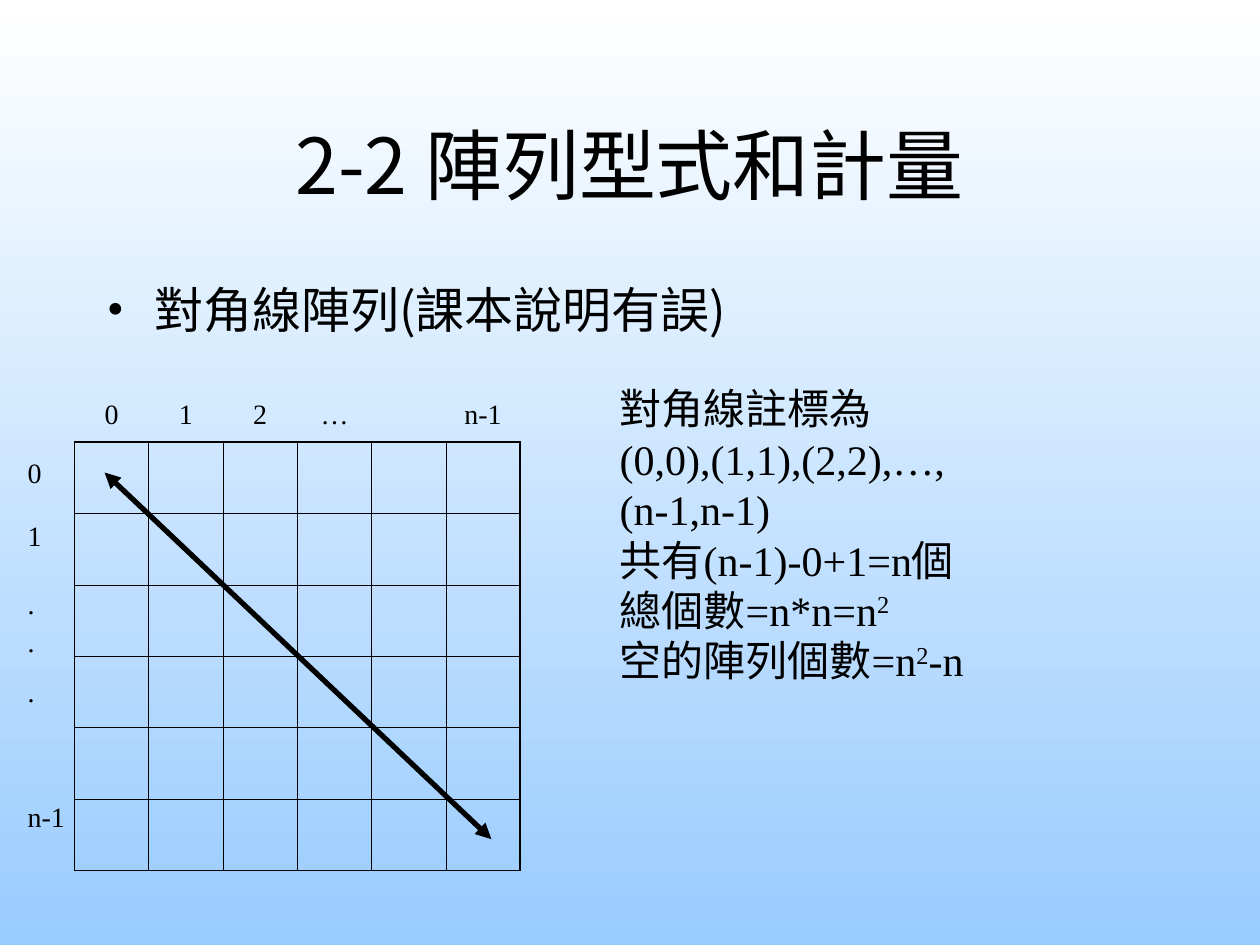
from lxml.etree import SubElement
from pptx import Presentation
from pptx.dml.color import RGBColor
from pptx.enum.shapes import MSO_CONNECTOR
from pptx.enum.text import MSO_ANCHOR, MSO_AUTO_SIZE, PP_ALIGN
from pptx.oxml import parse_xml
from pptx.oxml.ns import nsdecls, qn
from pptx.util import Inches, Pt

BLACK = RGBColor(0x00, 0x00, 0x00)
WHITE = RGBColor(0xFF, 0xFF, 0xFF)
SKY = RGBColor(0x99, 0xCC, 0xFF)
SANS = "Noto Sans CJK SC"
SERIF = "Times New Roman"
NO_STYLE = "{2D5ABB26-0587-4C30-8999-92F81FD0307C}"
SIZE = 6
THICK, THIN = 1.08, 0.45


def format_run(run, size, face):
    run.font.size = Pt(size)
    run.font.name = face
    run.font.color.rgb = BLACK
    SubElement(run.font._element, qn("a:ea")).set("typeface", SANS)


def paint_background(slide):
    fill = slide.background.fill
    fill.gradient()
    fill.gradient_angle = 270
    for stop, color, position in zip(fill.gradient_stops, (WHITE, SKY), (0, 1)):
        stop.color.rgb = color
        stop.position = position


def add_title(slide, box):
    frame = slide.shapes.add_textbox(*box).text_frame
    frame.word_wrap = True
    frame.vertical_anchor = MSO_ANCHOR.MIDDLE
    heading = frame.paragraphs[0]
    heading.text = "2-2 陣列型式和計量"
    heading.alignment = PP_ALIGN.CENTER
    format_run(heading.runs[0], 44, SANS)


def add_topic(slide, box):
    frame = slide.shapes.add_textbox(*box).text_frame
    frame.word_wrap = True
    topic = frame.paragraphs[0]
    topic.text = "對角線陣列(課本說明有誤)"
    topic.alignment = PP_ALIGN.JUSTIFY
    properties = topic._p.get_or_add_pPr()
    properties.set("marL", str(Inches(0.38)))
    properties.set("indent", str(-Inches(0.38)))
    SubElement(properties, qn("a:buFont")).set("typeface", SERIF)
    SubElement(properties, qn("a:buChar")).set("char", "•")
    format_run(topic.runs[0], 28, SANS)


def add_plain_table(slide, box, row_count, column_count):
    table = slide.shapes.add_table(row_count, column_count, *box).table
    table.first_row = False
    table.horz_banding = False
    table._tbl.tblPr.find(qn("a:tableStyleId")).text = NO_STYLE
    for cell in table.iter_cells():
        cell.fill.background()
    return table


def add_labels(slide, box, labels, row_heights, alignment):
    table = add_plain_table(slide, box, len(row_heights), len(labels) // len(row_heights))
    for row, height in zip(table.rows, row_heights):
        row.height = Inches(height)
    for cell, label in zip(table.iter_cells(), labels):
        if not label:
            cell.margin_top = cell.margin_bottom = 0
            continue
        cell.text_frame.text = label
        for index, paragraph in enumerate(cell.text_frame.paragraphs):
            paragraph.alignment = alignment
            if index:
                paragraph.space_before = Pt(4)
            format_run(paragraph.runs[0], 16, SERIF)


def set_borders(cell, widths):
    properties = cell._tc.get_or_add_tcPr()
    for index, (side, width) in enumerate(widths.items()):
        properties.insert(index, parse_xml(
            f'<a:ln{side} {nsdecls("a")} w="{Pt(width)}"><a:solidFill>'
            f'<a:srgbClr val="{BLACK}"/></a:solidFill></a:ln{side}>'))


def add_grid(slide, box):
    table = add_plain_table(slide, box, SIZE, SIZE)
    last = SIZE - 1
    for row in range(SIZE):
        for column in range(SIZE):
            set_borders(table.cell(row, column), {
                "L": THICK if column == 0 else THIN,
                "R": THICK if column == last else THIN,
                "T": THICK if row == 0 else THIN,
                "B": THICK if row == last else THIN,
            })


def add_diagonal(slide, box):
    left, top, width, height = box
    diagonal = slide.shapes.add_connector(
        MSO_CONNECTOR.STRAIGHT, left, top, left + width, top + height)
    diagonal.line.color.rgb = BLACK
    diagonal.line.width = Pt(3)
    for end in ("a:headEnd", "a:tailEnd"):
        SubElement(diagonal.line._ln, qn(end)).set("type", "triangle")
    SubElement(diagonal._element.spPr, qn("a:effectLst"))


def add_counts(slide, box):
    lines = [
        ["對角線註標為"],
        ["(0,0),(1,1),(2,2),…,(n-1,n-1)"],
        ["共有(n-1)-0+1=n個"],
        ["總個數=n*n=n", "2"],
        ["空的陣列個數=n", "2", "-n"],
    ]
    frame = slide.shapes.add_textbox(*box).text_frame
    frame.word_wrap = False
    frame.auto_size = MSO_AUTO_SIZE.SHAPE_TO_FIT_TEXT
    for index, pieces in enumerate(lines):
        paragraph = frame.add_paragraph() if index else frame.paragraphs[0]
        for piece in pieces:
            run = paragraph.add_run()
            run.text = piece
            format_run(run, 24, SERIF)
            if piece == "2":
                run.font._element.set("baseline", "30000")


def inches(*lengths):
    return [Inches(length) for length in lengths]


def main():
    deck = Presentation()
    deck.slide_width, deck.slide_height = Inches(10), Inches(7.5)
    slide = deck.slides.add_slide(deck.slide_layouts[6])
    paint_background(slide)
    add_title(slide, inches(0.75, 0.67, 8.5, 1.25))
    add_topic(slide, inches(0.75, 2.17, 8.35, 0.95))
    add_grid(slide, inches(0.59, 3.51, 3.54, 3.4))
    add_labels(slide, inches(0.59, 3.12, 3.54, 0.37),
               ["0", "1", "2", "…", "", "n-1"], [0.37], PP_ALIGN.CENTER)
    add_labels(slide, inches(0.12, 3.59, 0.55, 3.39),
               ["0", "1", ".\n.", ".", "", "n-1"],
               [0.5, 0.54, 0.7, 0.5, 0.49, 0.66], PP_ALIGN.LEFT)
    add_diagonal(slide, inches(0.83, 3.75, 3.07, 2.91))
    add_counts(slide, inches(4.82, 2.99, 3.97, 2.1))
    deck.save("out.pptx")


if __name__ == "__main__":
    main()
